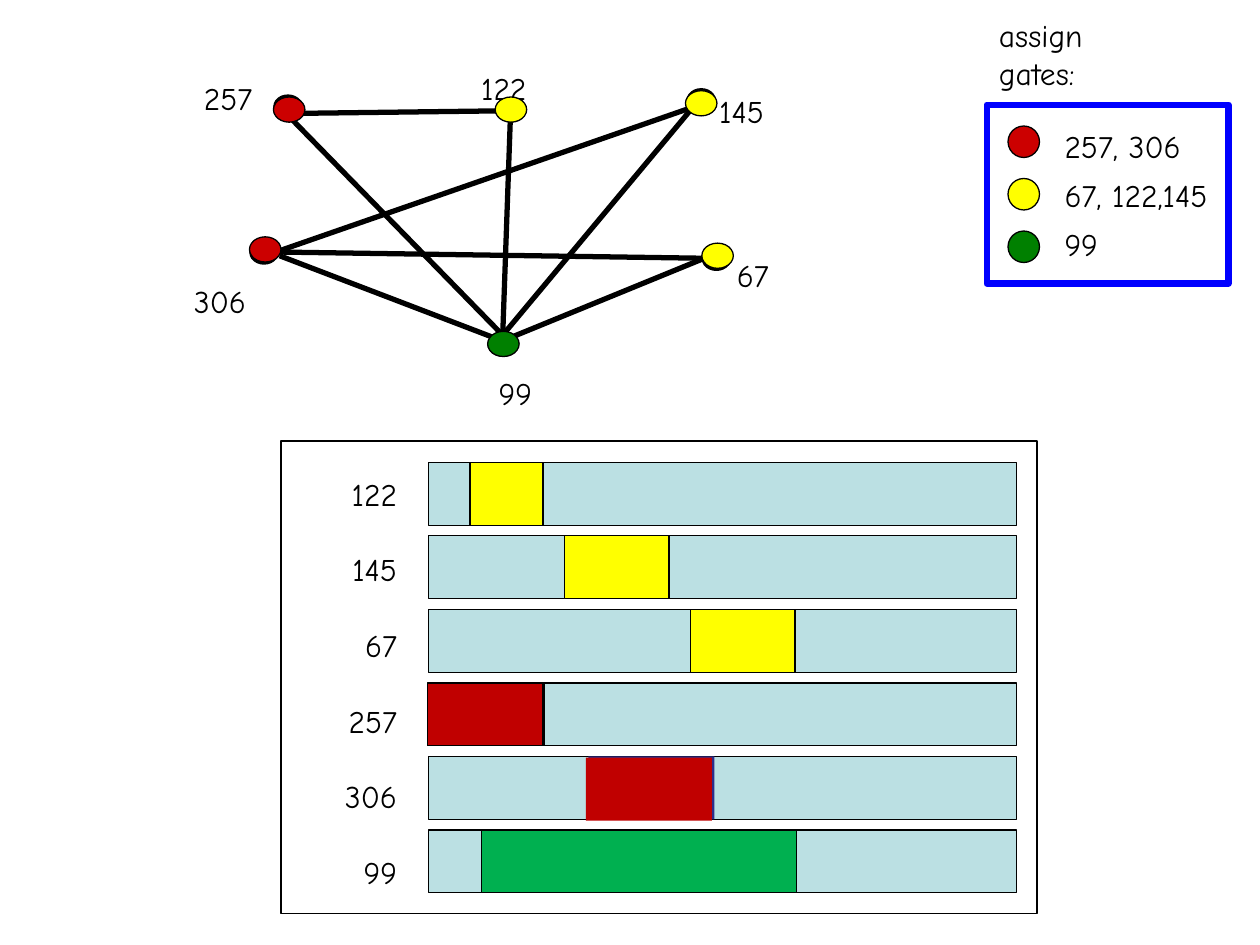
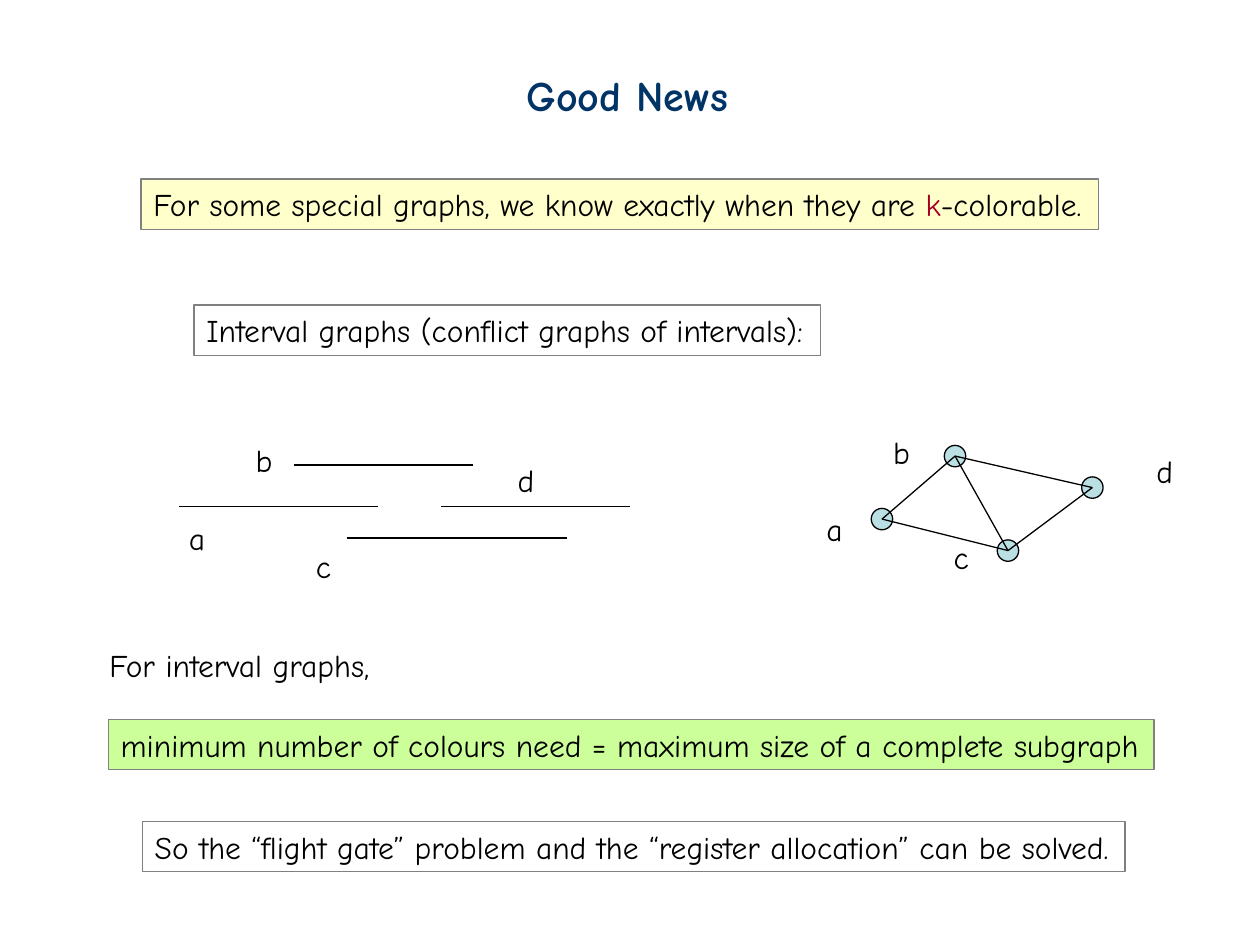
from lxml import etree
from pptx import Presentation
from pptx.dml.color import RGBColor
from pptx.enum.shapes import MSO_CONNECTOR as Connector, MSO_SHAPE as Shape
from pptx.enum.text import MSO_AUTO_SIZE as AutoSize, PP_ALIGN as Align
from pptx.oxml.ns import qn
from pptx.util import Inches, Pt

COLORS = {
    "black": "000000", "navy": "003366", "crimson": "A50021", "grey": "808080",
    "red": "CC0000", "yellow": "FFFF00", "green": "008000", "blue": "0000FF",
    "rim": "0066FF", "track": "BBE0E3", "indigo": "2D2D8A",
    "bar red": "C00000", "bar green": "00B050",
    "cream": "FFFFCC", "lime": "CCFF99",
}


class SlideBuilder:
    """Holds the deck's style and draws on the current slide."""

    font_name = "Comic Neue"
    text_size = 18
    thin = 0.75

    def __init__(self, deck):
        self.deck = deck
        self.page = None

    def new_slide(self):
        self.page = self.deck.slides.add_slide(self.deck.slide_layouts[6])

    @staticmethod
    def color(name):
        return RGBColor.from_string(COLORS[name])

    def paint(self, item, fill, line, width):
        if fill:
            item.fill.solid()
            item.fill.fore_color.rgb = self.color(fill)
        else:
            item.fill.background()
        if line:
            item.line.color.rgb = self.color(line)
            item.line.width = Pt(width)
        else:
            item.line.fill.background()

    def shape(self, kind, at, fill=None, line="black", width=thin):
        item = self.page.shapes.add_shape(kind, *map(Inches, at))
        item.shadow.inherit = False
        self.paint(item, fill, line, width)

    def rect(self, *at, **style):
        self.shape(Shape.RECTANGLE, at, **style)

    def dot(self, *at, **style):
        self.shape(Shape.OVAL, at, **style)

    def line(self, start, end, width=thin):
        link = self.page.shapes.add_connector(
            Connector.STRAIGHT, *map(Inches, (*start, *end)))
        link.line.color.rgb = self.color("black")
        link.line.width = Pt(width)
        etree.SubElement(link._element.spPr, qn("a:effectLst"))

    def text(self, at, *lines, size=text_size, color="black", bold=False,
             align=Align.LEFT, spacing=None, gap=0, wrap=False):
        """Each line is a string or a list of (words, colour) spans."""
        box = self.page.shapes.add_textbox(*map(Inches, at))
        frame = box.text_frame
        frame.word_wrap = wrap
        frame.auto_size = AutoSize.SHAPE_TO_FIT_TEXT
        for index, spans in enumerate(lines):
            para = frame.add_paragraph() if index else frame.paragraphs[0]
            para.alignment = align
            if index:
                para.space_before = Pt(gap)
                if spacing:
                    para.line_spacing = spacing
            para.font.name = self.font_name
            para.font.size = Pt(size)
            para.font.bold = bold
            para.font.color.rgb = self.color(color)
            if isinstance(spans, str):
                spans = [(spans, color)]
            for words, tint in spans:
                span = para.add_run()
                span.text = words
                if tint != color:
                    span.font.color.rgb = self.color(tint)
        return box

    def title(self, at, words):
        self.text(at, words, size=24, color="navy", bold=True)

    def framed_text(self, at, words, fill=None):
        self.paint(self.text(at, words), fill, "grey", self.thin)


def draw_conflict_graph(builder):
    # flight: label place, node place, rim offset, colour
    flights = {
        "257": ((1.52, 0.58), (2.17, 0.77), (0.02, 0), "red"),
        "67": ((5.75, 1.98), (5.57, 1.93), (0.02, 0.05), "yellow"),
        "122": ((3.72, 0.5), (3.93, 0.77), (0.03, 0.03), "yellow"),
        "145": ((5.61, 0.68), (5.44, 0.72), (0.03, 0), "yellow"),
        "306": ((1.44, 2.19), (1.98, 1.88), (0.02, 0.05), "red"),
        "99": ((3.86, 2.92), (3.87, 2.63), (0.02, 0.03), "green"),
    }
    for flight, (label, (x, y), (dx, dy), _) in flights.items():
        builder.text((*label, 0.7, 0.4), flight, wrap=True)
        builder.dot(x + dx, y + dy, 0.19, 0.15, fill="rim", width=3)

    hub, left, upper, lower = (3.99, 2.66), (2.19, 2), (5.5, 0.85), (5.59, 2.05)
    conflicts = [
        (left, upper), (left, lower), ((2.35, 0.9), (3.96, 0.88)),
        ((2.29, 0.92), hub), (hub, (4.05, 0.95)), (hub, upper),
        ((4.05, 2.68), lower), ((2.22, 2.03), (3.92, 2.68)),
    ]
    for start, end in conflicts:
        builder.line(start, end, width=3)
    for _, node, _, color in flights.values():
        builder.dot(*node, 0.25, 0.2, fill=color)


def draw_gate_legend(builder):
    for row, color in enumerate(("red", "yellow", "green")):
        builder.dot(8, 1 + row * 5 / 12, 0.25, 0.25, fill=color)
    builder.text((8.35, 0.96, 1.45, 1.18), "257, 306", "67, 122,145", "99",
                 spacing=1.3, wrap=True)
    builder.rect(7.83, 0.83, 1.92, 1.42, line="blue", width=3.5)
    builder.text((7.83, 0.08, 1.72, 0.7), "assign", "gates:", wrap=True)


def draw_timetable(builder):
    left, top, step, height = 3.4, 3.67, 3.5 / 6, 0.5
    # flight, bar start, bar length, colour
    bars = [
        ("122", 3.73, 0.58, "yellow"), ("145", 4.48, 0.83, "yellow"),
        ("67", 5.48, 0.83, "yellow"), ("257", 3.39, 0.92, "bar red"),
        ("306", 4.65, 1, "bar red"), ("99", 3.82, 2.5, "bar green"),
    ]
    builder.text((2.62, 3.72, 0.63, 3.4), *(bar[0] for bar in bars),
                 align=Align.RIGHT, gap=21.6)
    for row in range(len(bars)):
        builder.rect(left, top + row * step, 4.67, height, fill="track")
    builder.rect(2.23, 3.5, 6, 3.75)
    builder.rect(left, top + 3 * step, 0.92, height, fill="indigo")
    builder.rect(4.67, top + 4 * step, 1, height, fill="indigo", line=None)
    for row, (flight, start, length, color) in enumerate(bars):
        plain = flight == "306"
        builder.rect(start, top + row * step + 0.01 * plain, length, height,
                     fill=color, line=None if plain else "black")


def draw_letters(builder, places):
    for letter, place in places.items():
        builder.text((*place, 0.33, 0.4), letter)


def draw_intervals(builder):
    for start, end, y in ((1.42, 3, 4.02), (2.33, 3.75, 3.69),
                          (2.75, 4.5, 4.27), (3.5, 5, 4.02)):
        builder.line((start, y), (end, y))
    draw_letters(builder, {"a": (1.4, 4.07), "b": (1.93, 3.45),
                           "c": (2.41, 4.29), "d": (4.01, 3.61)})


def draw_interval_graph(builder):
    size = 0.17
    centers = {"a": (7, 4.12), "b": (7.58, 3.62),
               "c": (8, 4.37), "d": (8.67, 3.87)}
    for x, y in centers.values():
        builder.dot(x - size / 2, y - size / 2, size, size, fill="track")
    draw_letters(builder, {"a": (6.46, 4), "b": (6.99, 3.39),
                           "c": (7.47, 4.22), "d": (9.08, 3.54)})
    for start, end in ("ab", "ac", "bc", "bd", "dc"):
        builder.line(centers[start], centers[end])


def build_gates_slide(builder):
    builder.new_slide()
    draw_conflict_graph(builder)
    draw_gate_legend(builder)
    draw_timetable(builder)


def build_good_news_slide(builder):
    builder.new_slide()
    builder.title((4.08, 0.5, 1.8, 0.5), "Good News")
    builder.framed_text(
        (1.12, 1.42, 7.6, 0.4),
        [("For some special graphs, we know exactly when they are ", "black"),
         ("k", "crimson"), ("-colorable.", "black")], fill="cream")
    builder.framed_text((1.54, 2.42, 4.97, 0.4),
                        "Interval graphs (conflict graphs of intervals):")
    draw_intervals(builder)
    draw_interval_graph(builder)
    builder.text((0.77, 5.08, 2.29, 0.4), "For interval graphs,")
    builder.framed_text(
        (0.86, 5.71, 8.3, 0.4),
        "minimum number of colours need = maximum size of a complete subgraph",
        fill="lime")
    builder.framed_text(
        (1.13, 6.52, 7.8, 0.4),
        "So the “flight gate” problem and the “register allocation” can be solved.")


def main():
    deck = Presentation()
    deck.slide_width, deck.slide_height = Inches(10), Inches(7.5)
    builder = SlideBuilder(deck)
    build_gates_slide(builder)
    build_good_news_slide(builder)
    deck.save("out.pptx")


if __name__ == "__main__":
    main()
